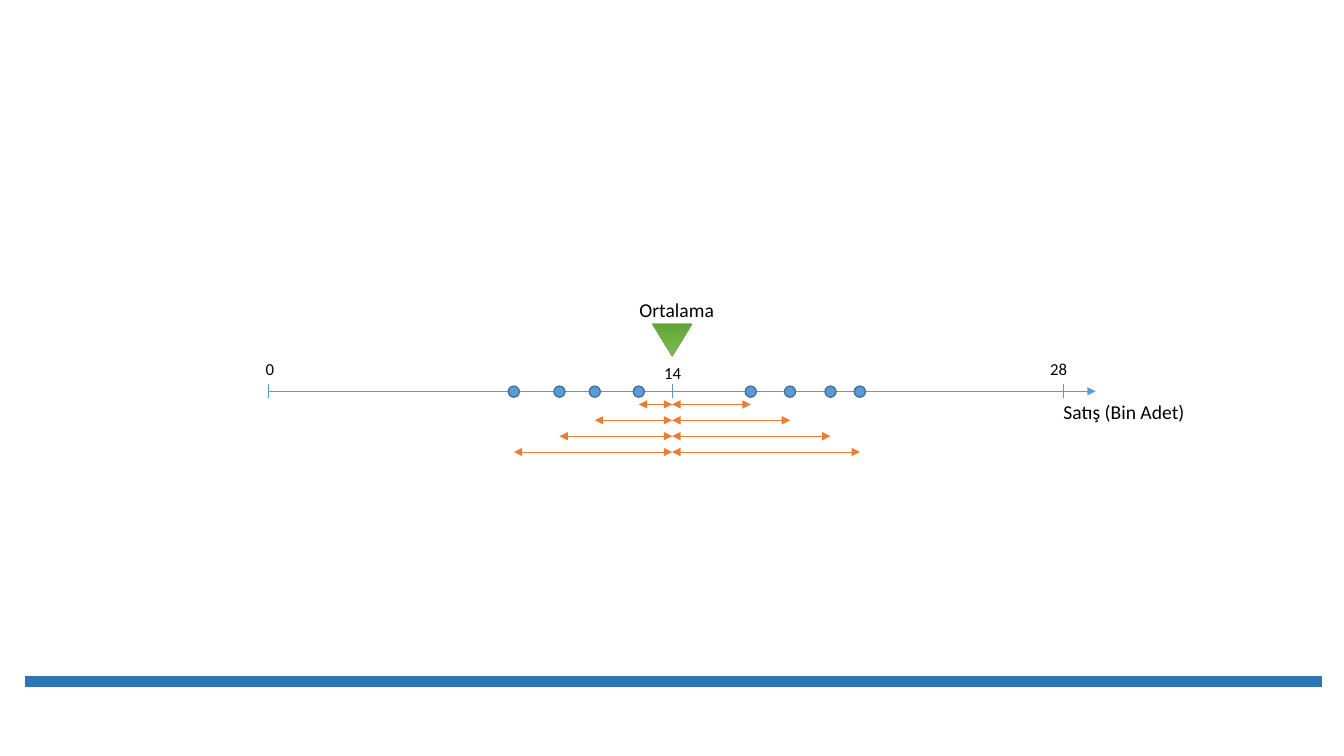
from copy import deepcopy

from lxml import etree
from pptx import Presentation
from pptx import util as u
from pptx.dml.color import RGBColor
from pptx.enum import shapes, text
from pptx.oxml import ns


def paint(color_format, hex_color):
    color_format.rgb = RGBColor.from_string(hex_color)


def add_line(start, end, hex_color, width, arrowheads=()):
    points = [u.Cm(value) for value in (*start, *end)]
    connector = slide.shapes.add_connector(shapes.MSO_CONNECTOR.STRAIGHT, *points)
    paint(connector.line.color, hex_color)
    connector.line.width = u.Pt(width)
    for arrowhead in arrowheads:
        etree.SubElement(connector.line._get_or_add_ln(), ns.qn(f"a:{arrowhead}"), type="triangle")
    etree.SubElement(connector._element.spPr, ns.qn("a:effectLst"))


presentation = Presentation()
presentation.slide_width = u.Cm(33.87)
presentation.slide_height = u.Cm(19.05)
slide = presentation.slides.add_slide(presentation.slide_layouts[6])

BLUE = "5B9BD5"
ORANGE = "ED7D31"
axis_y = 9.86
axis_start, mean_x, axis_max = 6.76, 16.94, 26.8
tick_half = 0.18
dot_size = 0.28
below_mean = [16.1, 14.99, 14.1, 12.95]
above_mean = [18.92, 19.91, 20.93, 21.67]

add_line((0.64, 17.17), (33.32, 17.17), "2E75B6", 8)

add_line((axis_start, axis_y), (27.61, axis_y), BLUE, 0.5, ["tailEnd"])
for tick_x in (axis_start, mean_x, axis_max):
    add_line((tick_x, axis_y - tick_half), (tick_x, axis_y + tick_half), BLUE, 0.5)

for dot_x in below_mean + above_mean:
    dot = slide.shapes.add_shape(
        shapes.MSO_SHAPE.OVAL,
        u.Cm(dot_x - dot_size / 2), u.Cm(axis_y + 0.01 - dot_size / 2),
        u.Cm(dot_size), u.Cm(dot_size))
    dot.shadow.inherit = False
    dot.fill.solid()
    paint(dot.fill.fore_color, BLUE)
    paint(dot.line.color, "43739E")
    dot.line.width = u.Pt(1)

for row, (left_x, right_x) in enumerate(zip(below_mean, above_mean)):
    distance_y = 10.19 + 0.4 * row
    for start_x, end_x in ((left_x, mean_x), (mean_x, right_x)):
        add_line((start_x, distance_y), (end_x, distance_y), ORANGE, 0.5, ["headEnd", "tailEnd"])

mean_marker = slide.shapes.add_shape(
    shapes.MSO_SHAPE.ISOSCELES_TRIANGLE, u.Cm(16.44), u.Cm(8.16), u.Cm(1), u.Cm(0.82))
mean_marker.rotation = 180
mean_marker.shadow.inherit = False
mean_marker.fill.gradient()
mean_marker.fill.gradient_angle = 270
stop_list = mean_marker._element.spPr.find(".//" + ns.qn("a:gsLst"))
stop_list.insert(1, deepcopy(stop_list[0]))
gradient = [(0, "81B861"), (0.5, "6FB242"), (1, "62A336")]
for stop, (position, hex_color) in zip(mean_marker.fill.gradient_stops, gradient):
    stop.position = position
    paint(stop.color, hex_color)
paint(mean_marker.line.color, "70AD47")
mean_marker.line.width = u.Pt(0.5)

labels = [
    ("Satış (Bin Adet)", 26.52, 9.96, 3.61, 0.86, 14),
    ("0", 6.22, 8.92, 1.17, 0.76, 12),
    ("14", 16.48, 9.02, 0.94, 0.76, 12),
    ("28", 26.21, 8.92, 0.94, 0.76, 12),
    ("Ortalama", 15.85, 7.39, 2.41, 0.86, 14),
]
for wording, left, top, width, height, size in labels:
    label = slide.shapes.add_textbox(u.Cm(left), u.Cm(top), u.Cm(width), u.Cm(height))
    label.text_frame.word_wrap = False
    label.text_frame.auto_size = text.MSO_AUTO_SIZE.SHAPE_TO_FIT_TEXT
    paragraph = label.text_frame.paragraphs[0]
    paragraph.alignment = text.PP_ALIGN.CENTER
    run = paragraph.add_run()
    run.text = wording
    run.font.name = "Calibri"
    run.font.size = u.Pt(size)
    paint(run.font.color, "000000")

presentation.save("out.pptx")
